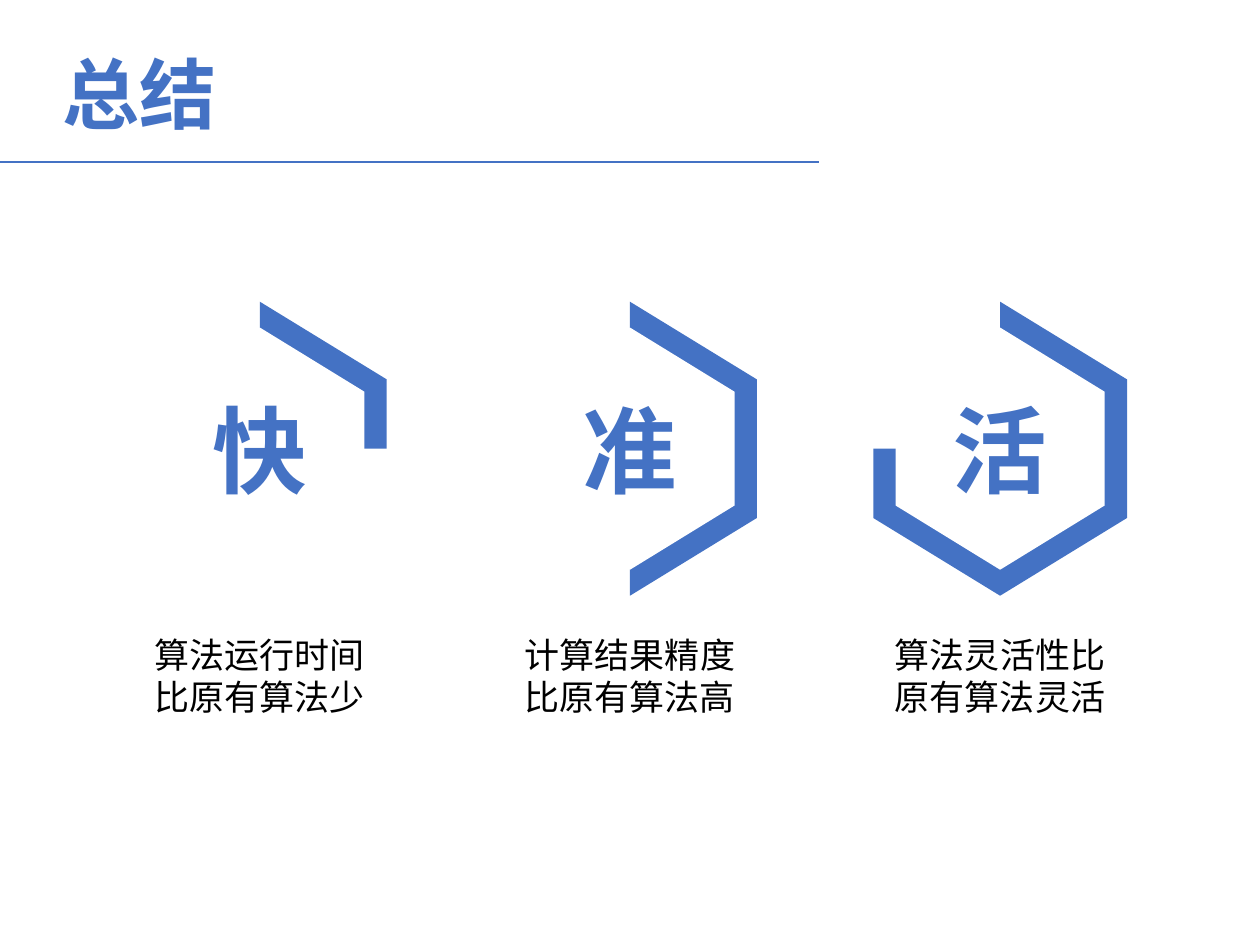
from dataclasses import dataclass
from pptx import Presentation
from pptx import util as u
from pptx.dml.color import RGBColor
from pptx.enum import shapes, text
from pptx.oxml import ns
from lxml import etree


@dataclass(frozen=True)
class Theme:
    font: str = "Noto Sans CJK SC"
    blue: str = "4472C4"
    white: str = "FFFFFF"
    black: str = "000000"
    title: int = 44
    keyword: int = 54
    body: int = 20


class SummarySlide:
    """Draws the elements of one slide in a shared theme."""

    def __init__(self, page, theme):
        self.page = page
        self.theme = theme

    def line(self, x1, y1, x2, y2, width):
        rule = self.page.shapes.add_connector(
            shapes.MSO_CONNECTOR.STRAIGHT, *map(u.Pt, (x1, y1, x2, y2)))
        rule.line.color.rgb = RGBColor.from_string(self.theme.blue)
        rule.line.width = u.Pt(width)
        etree.SubElement(rule._element.spPr, ns.qn("a:effectLst"))

    def paint(self, shape, color):
        shape.shadow.inherit = False
        shape.fill.solid()
        shape.fill.fore_color.rgb = RGBColor.from_string(color)
        shape.line.fill.background()

    def outline(self, points):
        start, *rest = [(u.Pt(x), u.Pt(y)) for x, y in points]
        builder = self.page.shapes.build_freeform(*start)
        builder.add_line_segments(rest, close=True)
        self.paint(builder.convert_to_shape(), self.theme.blue)

    def hexagon(self, x, y, width, height):
        shape = self.page.shapes.add_shape(
            shapes.MSO_SHAPE.HEXAGON,
            *map(u.Pt, (x - width / 2, y - height / 2, width, height)))
        shape.rotation = 90
        shape.adjustments[0] = 0.307
        self.paint(shape, self.theme.white)

    def label(self, content, x, y, width, height, **style):
        box = self.page.shapes.add_textbox(*map(u.Pt, (x, y, width, height)))
        box.text_frame.word_wrap = True
        write(box.text_frame, content, font=self.theme.font, **style)


def write(frame, content, *, font, size, color, bold=False,
          align=text.PP_ALIGN.LEFT):
    para = frame.paragraphs[0]
    para.alignment = align
    span = para.add_run()
    span.text = content
    span.font.name = font
    span.font.size = u.Pt(size)
    span.font.bold = bold
    span.font.color.rgb = RGBColor.from_string(color)
    east_asian = etree.SubElement(span.font._element, ns.qn("a:ea"))
    east_asian.set("typeface", font)


def main():
    theme = Theme()
    deck = Presentation()
    deck.slide_width, deck.slide_height = u.Pt(720), u.Pt(540)
    slide = SummarySlide(deck.slides.add_slide(deck.slide_layouts[6]), theme)
    slide.line(0, 92.4, 468, 92.4, 1.25)
    slide.label("总结", 28.8, 23, 578, 51, size=theme.title,
                color=theme.blue, bold=True)

    middle, pitch, center_y = 360, 211.5, 256.4
    side, shoulder, tip = 72.5, 39.6, 84
    top, upper_right, right = (0, -tip), (side, -shoulder), (side, 0)
    lower_right, bottom, lower_left = (side, shoulder), (0, tip), (-side, shoulder)
    columns = [
        ("快", "算法运行时间比原有算法少",
         [top, upper_right, right, (0, 0)]),
        ("准", "计算结果精度比原有算法高",
         [top, upper_right, lower_right, bottom]),
        ("活", "算法灵活性比原有算法灵活",
         [top, upper_right, lower_right, bottom, lower_left, (-side, 0), (0, 0)]),
    ]
    for index, (keyword, caption, points) in enumerate(columns):
        x = middle + (index - 1) * pitch
        slide.outline([(x + dx, center_y + dy) for dx, dy in points])
        slide.hexagon(x, center_y, 138.4, 119.5)
        slide.label(keyword, x - 37.8, 220.3, 75.6, 72.7, size=theme.keyword,
                    color=theme.blue, bold=True, align=text.PP_ALIGN.CENTER)
        slide.label(caption, x - 73.5, 358.6, 147, 55.4, size=theme.body,
                    color=theme.black, align=text.PP_ALIGN.CENTER)
    deck.save("out.pptx")


if __name__ == "__main__":
    main()
